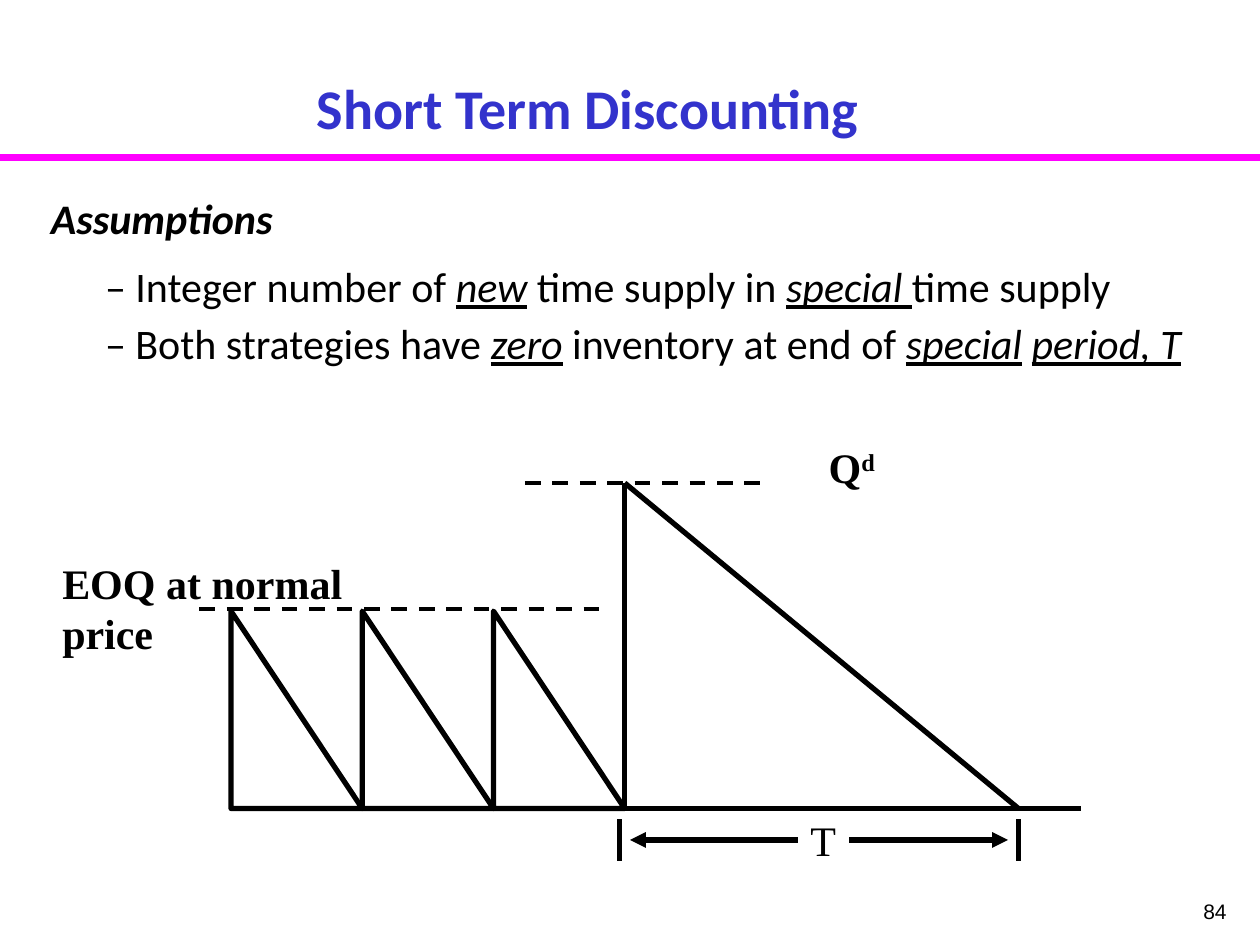
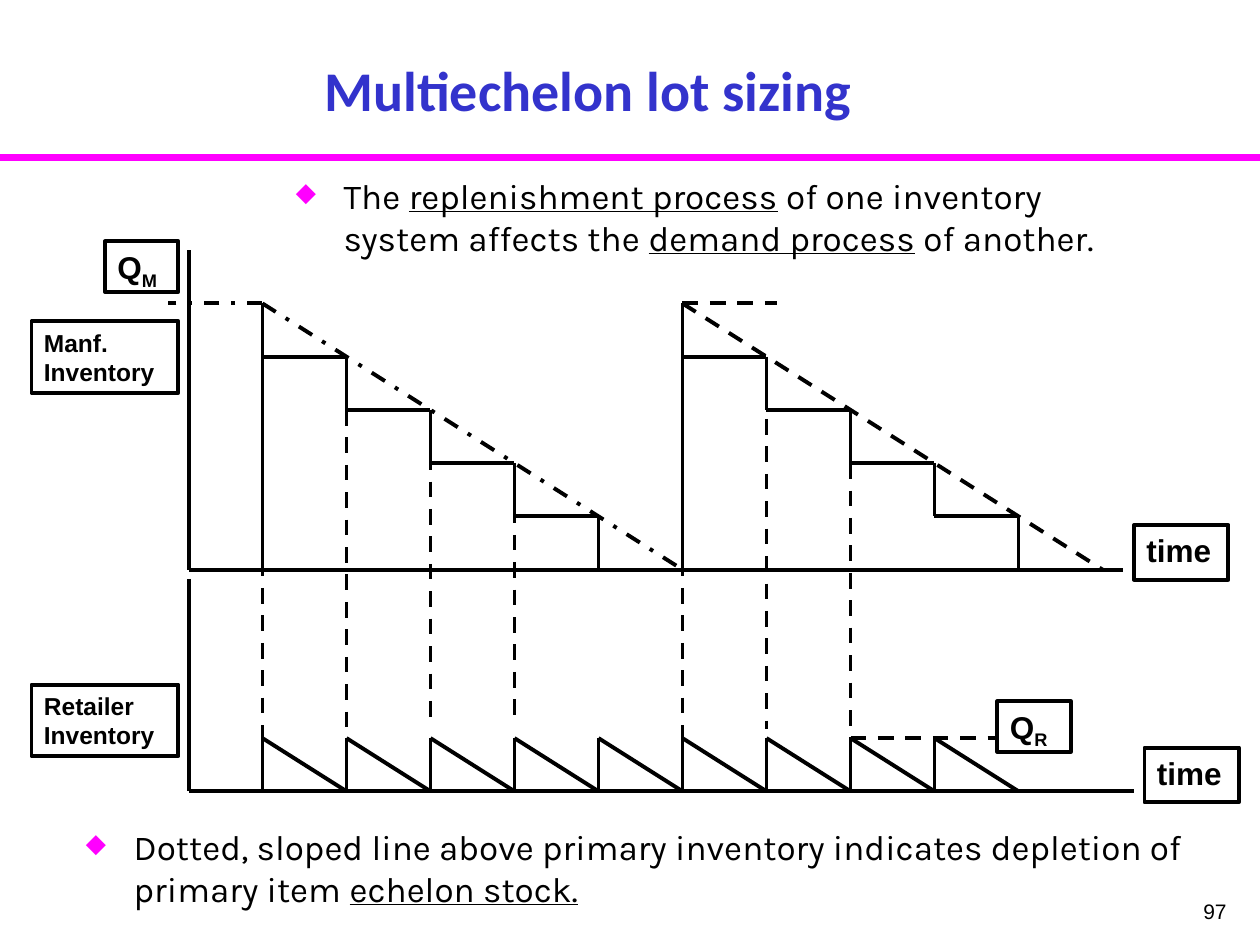
from dataclasses import dataclass
from typing import Any

from lxml import etree
from pptx import Presentation
from pptx import util as u
from pptx.dml.color import RGBColor
from pptx.enum import dml, shapes, text
from pptx.oxml import ns

INK, BLUE, PINK = "000000", "3333CC", "FF00FF"
COLS, ROWS = 120, 90
DASH = dml.MSO_LINE.DASH
DOTS = dml.MSO_LINE.DASH_DOT
TOP, MID, LOW = text.MSO_ANCHOR.TOP, text.MSO_ANCHOR.MIDDLE, text.MSO_ANCHOR.BOTTOM
LEFT, MIDST, RIGHT = text.PP_ALIGN.LEFT, text.PP_ALIGN.CENTER, text.PP_ALIGN.RIGHT


def tint(code):
    return RGBColor.from_string(code)


@dataclass
class Grid:
    slide: Any
    left: float
    top: float
    col: float
    row: float

    def sub(self, col, row, wide, high):
        return Grid(self.slide, self.x(col), self.y(row), self.col * wide, self.row * high)

    def x(self, col):
        return int(self.left + col * self.col)

    def y(self, row):
        return int(self.top + row * self.row)

    def box(self, col, row, wide, high):
        return self.x(col), self.y(row), int(wide * self.col), int(high * self.row)


def add(node, tag, **attrs):
    return etree.SubElement(node, ns.qn(tag), **attrs)


def pen(item, width, dash=None, color=INK):
    item.line.color.rgb = tint(color)
    item.line.width = u.Pt(width)
    if dash:
        item.line.dash_style = dash


def line(grid, start, end, width=2.25, dash=None, color=INK, head=False):
    item = grid.slide.shapes.add_connector(
        shapes.MSO_CONNECTOR.STRAIGHT,
        grid.x(start[0]), grid.y(start[1]), grid.x(end[0]), grid.y(end[1]))
    pen(item, width, dash, color)
    props = item._element.spPr
    if head:
        add(props.find(ns.qn("a:ln")), "a:tailEnd", type="triangle")
    add(props, "a:effectLst")


def trace(grid, points, close):
    dots = [(grid.x(col), grid.y(row)) for col, row in points]
    form = grid.slide.shapes.build_freeform(*dots[0])
    form.add_line_segments(dots[1:], close=close)
    item = form.convert_to_shape()
    item.shadow.inherit = False
    item.fill.background()
    pen(item, 3)


def write(para, runs, face, size, color=INK):
    for words, marks in runs:
        if words == "\v":
            para.add_line_break()
            continue
        run = para.add_run()
        run.text = words
        font = run.font
        font.name, font.size = face, u.Pt(size)
        font.color.rgb = tint(color)
        font.bold, font.italic, font.underline = "b" in marks, "i" in marks, "u" in marks
        shift = {"^": "30000", "_": "-25000"}.get(marks[-1:])
        if shift:
            run._r.get_or_add_rPr().set("baseline", shift)


def label(grid, box, paras, face, size, color=INK, align=LEFT, anchor=TOP, frame=False):
    parts, place = grid.slide.shapes, grid.box(*box)
    if frame:
        item = parts.add_shape(shapes.MSO_SHAPE.RECTANGLE, *place)
        item.shadow.inherit = False
        item.fill.background()
        pen(item, 2.25)
    else:
        item = parts.add_textbox(*place)
    body = item.text_frame
    body.word_wrap = True
    body.vertical_anchor = anchor
    for num, runs in enumerate(paras):
        para = body.add_paragraph() if num else body.paragraphs[0]
        para.alignment = align
        write(para, runs, face, size, color)
    return body


def page(deck, title, box, anchor, number):
    slide = deck.slides.add_slide(deck.slide_layouts[6])
    grid = Grid(slide, 0, 0, deck.slide_width / COLS, deck.slide_height / ROWS)
    line(grid, (0, 15), (COLS, 15), 4, color=PINK)
    label(grid, (93, 85, 25, 5), [[(number, "")]], "Arial", 12, align=RIGHT)
    label(grid, box, [[(title, "b")]], "Calibri", 32, BLUE, MIDST, anchor)
    return grid


def premise(grid, box):
    rows = [
        [("Assumptions", "bi")],
        [("– Integer number of ", ""), ("new", "iu"), (" time supply in ", ""),
         ("special ", "iu"), ("time supply", "")],
        [("– Both strategies have ", ""), ("zero", "iu"), (" inventory at end of ", ""),
         ("special", "iu"), (" ", ""), ("period, T", "iu")],
    ]
    body = label(grid, box, rows, "Calibri", 24)
    body.margin_left = body.margin_right = body.margin_top = body.margin_bottom = 0
    looks = [(0.07, 1.08, 0), (0.5, 0.96, 11.7), (0.5, 0.96, 4.8)]
    for para, (indent, pitch, space) in zip(body.paragraphs, looks):
        para._p.get_or_add_pPr().set("marL", str(u.Inches(indent)))
        para.line_spacing = pitch
        para.space_before = u.Pt(space)


def supply(grid):
    lot, base, buy, end = 12.2, 31, 3, 6
    for col in range(buy):
        trace(grid, [(col, lot), (col, base), (col + 1, base)], True)
    trace(grid, [(buy, base), (buy, 0)], False)
    trace(grid, [(buy, 0), (end, base)], False)
    line(grid, (buy, base), (6.48, base), 3)
    line(grid, (-0.24, 12), (2.8, 12), dash=DASH)
    line(grid, (2.24, 0), (4.08, 0), dash=DASH)
    for col in (2.96, end):
        line(grid, (col, 32), (col, 36), 3)
    for start, stop in ((4.71, 5.92), (4.32, 3.04)):
        line(grid, (start, 34), (stop, 34), 3, head=True)
    notes = [
        ((-1.38, 6.5, 2.5, 10.8), [[("EOQ at normal", "b")], [("price", "b")]]),
        ((4.46, -4.5, 0.6, 6), [[("Q", "b"), ("d", "b^")]]),
        ((4.32, 31, 0.5, 6), [[("T", "")]]),
    ]
    for box, paras in notes:
        label(grid, box, paras, "Times New Roman", 24)


def point(grid, box, runs):
    body = label(grid, box, [runs], "Karla", 20)
    props = body.paragraphs[0]._p.get_or_add_pPr()
    props.set("marL", str(u.Inches(0.38)))
    props.set("indent", str(u.Inches(-0.38)))
    add(add(props, "a:buClr"), "a:srgbClr", val=PINK)
    add(props, "a:buSzPct", val="75000")
    add(props, "a:buChar", char="◆")


def axes(grid, top, base, end):
    line(grid, (-0.875, top), (-0.875, base))
    line(grid, (-0.875, base), (end, base))


def maker(grid):
    steps = 5
    axes(grid, -1, steps, 10.25)
    for start, lead, dash in ((0, -1.125, DOTS), (steps, 1.125, DASH)):
        for step in range(steps):
            col, low = start + step, step + 1
            line(grid, (col, step), (col, low if step else steps))
            line(grid, (col, low), (col + 1, low))
        line(grid, (start, 0), (start + lead, 0), dash=dash)
        line(grid, (start, 0), (start + steps, steps), dash=dash)
    drops = [(0, 4.83, 8.17), (1, 2, 8.33), (2, 2.83, 7.8), (3, 3.83, 7.8),
             (5, 4.83, 8.17), (6, 2.17, 8), (7, 3, 8.17)]
    for col, top, low in drops:
        line(grid, (col, top), (col, low), dash=DASH)


def seller(grid):
    axes(grid, -3, 1, 10.375)
    for col in range(9):
        line(grid, (col, 0), (col, 1))
        line(grid, (col, 0), (col + 1, 1))
    line(grid, (7, 0), (8.75, 0), dash=DASH)


def tags(grid):
    wide, mid, small = (14, 6.8), (9, 5.2), (7, 4.8)
    items = [
        (108, 50, mid, 18, [("time", "b")]),
        (109, 71.2, mid, 18, [("time", "b")]),
        (10, 23, small, 18, [("Q", "b"), ("M", "b_")]),
        (95, 66.8, small, 18, [("Q", "b"), ("R", "b_")]),
        (3, 30.6, wide, 14, [("Manf.", "b"), ("\v", ""), ("Inventory", "b")]),
        (3, 65.2, wide, 14, [("Retailer", "b"), ("\v", ""), ("Inventory", "b")]),
    ]
    for col, row, size, pts, runs in items:
        label(grid, (col, row, *size), [runs], "Arial", pts, frame=True)


def main():
    deck = Presentation()
    deck.slide_width, deck.slide_height = u.Inches(10), u.Inches(7.5)

    grid = page(deck, "Short Term Discounting", (5, 3.5, 102, 10.5), LOW, "84")
    premise(grid, (4, 18, 111, 22.3))
    supply(grid.sub(22, 46, 12.5, 1))

    grid = page(deck, "Multiechelon lot sizing", (18, 3, 76, 11), MID, "97")
    point(grid, (27, 16, 83, 13), [
        ("The ", ""), ("replenishment process", "u"),
        (" of one inventory system affects the ", ""),
        ("demand process", "u"), (" of another.", "")])
    maker(grid.sub(25, 28.9, 8, 5.07))
    seller(grid.sub(25, 70.3, 8, 5.06))
    tags(grid)
    point(grid, (7, 78, 108, 10), [
        ("Dotted, sloped line above primary inventory indicates depletion of primary item ", ""),
        ("echelon stock.", "u")])
    deck.save("out.pptx")


if __name__ == "__main__":
    main()
